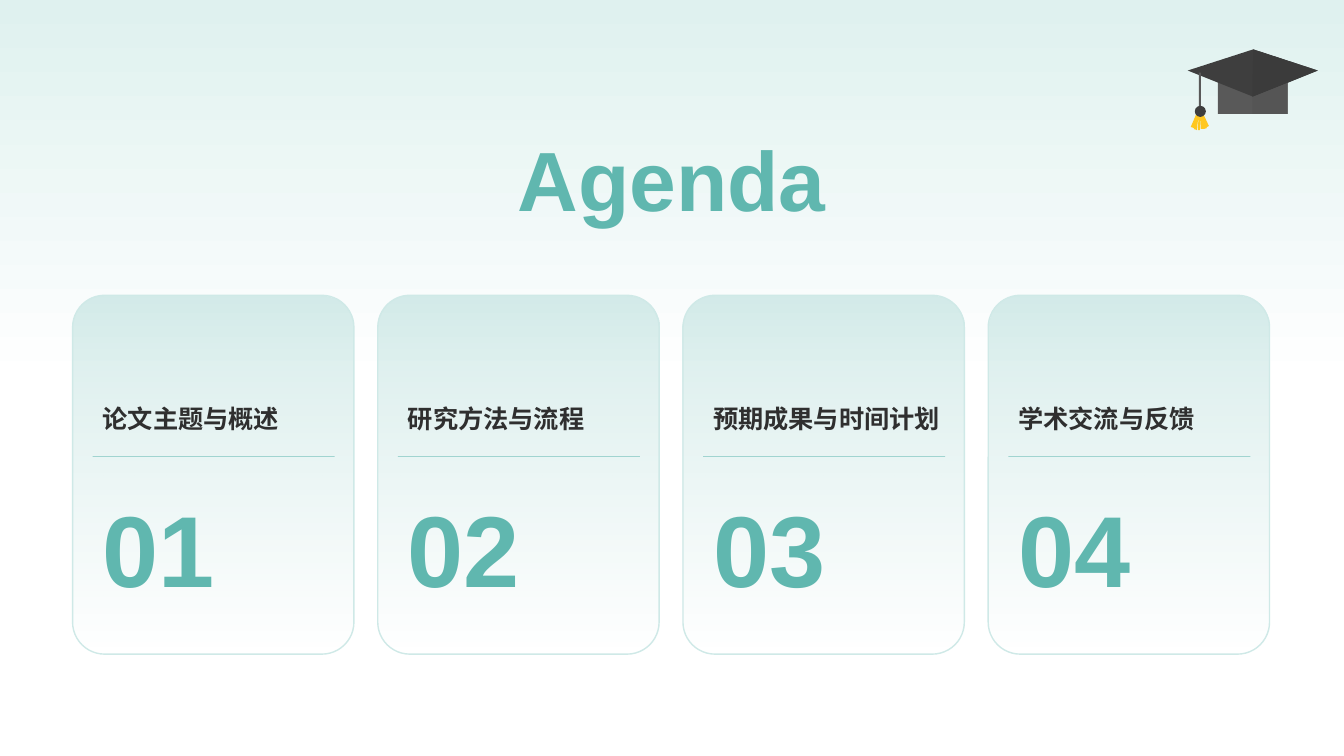
from pptx import Presentation
from pptx.dml.color import RGBColor
from pptx.enum.shapes import MSO_CONNECTOR, MSO_SHAPE
from pptx.enum.text import MSO_ANCHOR, PP_ALIGN
from pptx.oxml.ns import qn
from pptx.util import Inches, Pt
from lxml import etree

RECT, OVAL, ROUNDED = MSO_SHAPE.RECTANGLE, MSO_SHAPE.OVAL, MSO_SHAPE.ROUNDED_RECTANGLE
STRAIGHT = MSO_CONNECTOR.STRAIGHT
MIDDLE, BOTTOM = MSO_ANCHOR.MIDDLE, MSO_ANCHOR.BOTTOM
LEFT, CENTER = PP_ALIGN.LEFT, PP_ALIGN.CENTER

TEAL = RGBColor(0x60, 0xB7, 0xAF)
PALE_TEAL = RGBColor(0xCF, 0xE9, 0xE7)
MINT = RGBColor(0xDF, 0xF1, 0xEF)
WHITE = RGBColor(0xFF, 0xFF, 0xFF)
INK = RGBColor(0x2F, 0x2F, 0x2F)
GOLD = RGBColor(0xFF, 0xC7, 0x20)
BOARD = RGBColor(0x3E, 0x3E, 0x3E)
BOARD_SHADE = RGBColor(0x3B, 0x3B, 0x3B)
CAP = RGBColor(0x59, 0x59, 0x59)
CAP_SHADE = RGBColor(0x55, 0x55, 0x55)

TOPICS = ["论文主题与概述", "研究方法与流程", "预期成果与时间计划", "学术交流与反馈"]
CARD_LEFT, CARD_TOP, CARD_WIDTH, CARD_HEIGHT = 0.72, 2.93, 2.79, 3.56
CARD_STEP = 3.027
INSET = 0.2
RULE_TOP, RULE_WIDTH = 4.53, 2.4

TASSEL = [(11.87, 1.12), (11.81, 1.26), (11.84, 1.27), (11.88, 1.12), (11.84, 1.28),
          (11.87, 1.29), (11.89, 1.13), (11.88, 1.29), (11.9, 1.29), (11.9, 1.13),
          (11.91, 1.28), (11.94, 1.28), (11.9, 1.13), (11.94, 1.28), (11.97, 1.27),
          (11.92, 1.12), (11.97, 1.26), (11.99, 1.25), (11.93, 1.12), (11.9, 1.08)]
BOARD_POINTS = [(12.43, 0.49), (11.78, 0.7), (12.43, 0.96), (13.07, 0.7)]
CAP_SHADE_POINTS = [(12.77, 0.82), (12.42, 0.96), (12.42, 1.13), (12.77, 1.13)]
BOARD_SHADE_POINTS = [(12.43, 0.49), (12.42, 0.96), (13.07, 0.7)]


def set_alpha(color_element, percent):
    """Set the opacity of an RGB colour element."""
    alpha = etree.SubElement(color_element, qn("a:alpha"))
    alpha.set("val", str(percent * 1000))


def set_gradient(fill, stops):
    """Give a fill a top-to-bottom gradient of two (position, colour) stops."""
    fill.gradient()
    fill.gradient_angle = 270
    for stop, (position, color) in zip(fill.gradient_stops, stops):
        stop.position = position
        stop.color.rgb = color


def add_solid(slide, kind, box, color):
    """Add a plain filled preset shape."""
    sp = slide.shapes.add_shape(kind, *map(Inches, box))
    paint(sp, color)


def add_polygon(slide, points, color):
    """Add a closed filled outline through points in inches."""
    corners = [(Inches(x), Inches(y)) for x, y in points]
    builder = slide.shapes.build_freeform(*corners[0])
    builder.add_line_segments(corners[1:], close=True)
    paint(builder.convert_to_shape(), color)


def paint(sp, color):
    """Fill a shape and drop its line and shadow."""
    sp.shadow.inherit = False
    sp.fill.solid()
    sp.fill.fore_color.rgb = color
    sp.line.fill.background()


def add_text(slide, box, text, size, color, anchor=BOTTOM, align=LEFT):
    """Add a bold one-line text box."""
    tf = slide.shapes.add_textbox(*map(Inches, box)).text_frame
    tf.word_wrap = True
    tf.vertical_anchor = anchor
    p = tf.paragraphs[0]
    p.alignment = align
    r = p.add_run()
    r.text = text
    for name, value in {"name": "Arial", "size": Pt(size), "bold": True}.items():
        setattr(r.font, name, value)
    r.font.color.rgb = color


def add_rule(slide, left, top, width):
    """Add a thin horizontal divider."""
    line = slide.shapes.add_connector(
        STRAIGHT, Inches(left), Inches(top), Inches(left + width), Inches(top))
    line.line.width = Pt(0.5)
    line.line.color.rgb = TEAL
    sp_pr = line._element.spPr
    set_alpha(next(sp_pr.iter(qn("a:srgbClr"))), 80)
    etree.SubElement(sp_pr, qn("a:effectLst"))


def add_card(slide, left, number, topic):
    """Add one agenda card with its topic, divider and number."""
    sp = slide.shapes.add_shape(
        ROUNDED, *map(Inches, (left, CARD_TOP, CARD_WIDTH, CARD_HEIGHT)))
    sp.shadow.inherit = False
    sp.adjustments[0] = 0.114
    set_gradient(sp.fill, [(0, TEAL), (1, TEAL)])
    grad = sp._element.spPr.find(qn("a:gradFill"))
    for color_element, percent in zip(grad.iter(qn("a:srgbClr")), (25, 0)):
        set_alpha(color_element, percent)
    sp.line.color.rgb = PALE_TEAL
    sp.line.width = Pt(1)
    inner = left + INSET
    add_text(slide, (inner, 4.85, RULE_WIDTH, 1.23), f"{number:02d}", 72, TEAL)
    add_text(slide, (inner, 3.29, CARD_WIDTH - INSET, 1.06), topic, 18, INK)
    add_rule(slide, inner, RULE_TOP, RULE_WIDTH)


def add_graduation_cap(slide):
    """Draw the graduation cap in the top right corner."""
    add_polygon(slide, TASSEL, GOLD)
    add_solid(slide, RECT, (12.08, 0.7, 0.69, 0.43), CAP)
    add_polygon(slide, BOARD_POINTS, BOARD)
    add_solid(slide, RECT, (11.89, 0.72, 0.02, 0.35), CAP)
    add_solid(slide, OVAL, (11.85, 1.05, 0.11, 0.11), BOARD)
    add_polygon(slide, CAP_SHADE_POINTS, CAP_SHADE)
    add_polygon(slide, BOARD_SHADE_POINTS, BOARD_SHADE)


def main():
    """Build the agenda slide."""
    prs = Presentation()
    prs.slide_width, prs.slide_height = Inches(13.33), Inches(7.5)
    slide = prs.slides.add_slide(prs.slide_layouts[6])
    set_gradient(slide.background.fill, [(0, MINT), (0.51, WHITE)])
    add_graduation_cap(slide)
    for i, topic in enumerate(TOPICS):
        add_card(slide, CARD_LEFT + i * CARD_STEP, i + 1, topic)
    add_text(slide, (0.72, 1.24, 11.88, 1.06), "Agenda", 60, TEAL, MIDDLE, CENTER)
    prs.save("out.pptx")


if __name__ == "__main__":
    main()
